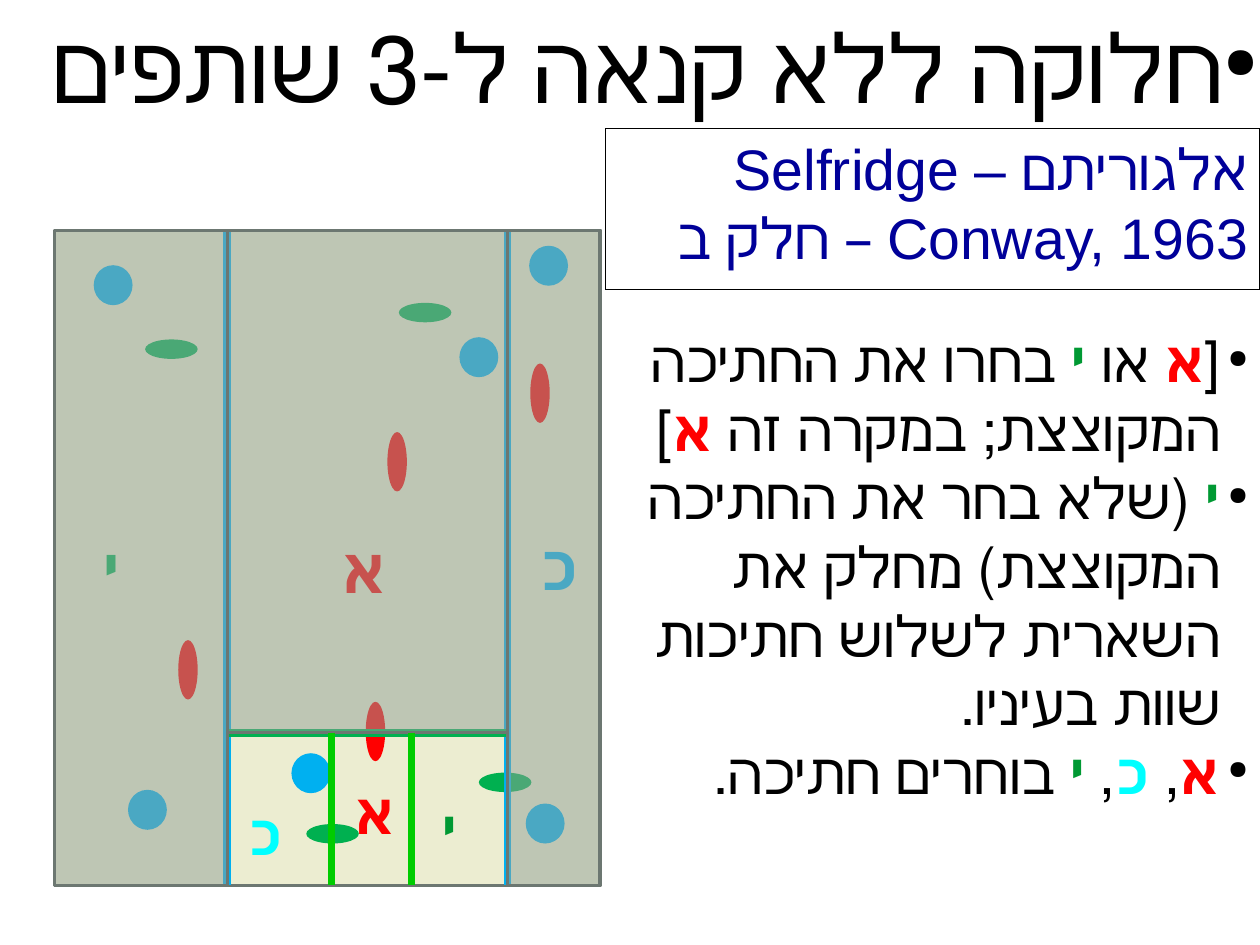
from dataclasses import dataclass

from lxml import etree
from pptx import Presentation
from pptx import util as u
from pptx.dml.color import RGBColor
from pptx.enum import shapes, text
from pptx.oxml import ns


@dataclass(frozen=True)
class Theme:
    font: str = "Arial"
    black: str = "000000"
    navy: str = "000099"
    red: str = "FF0000"
    sky: str = "00B0F0"
    cyan: str = "00FFFF"
    leaf: str = "00B050"
    green: str = "009933"
    lime: str = "00CC00"
    cake: str = "ECEDD1"
    veil: str = "93A299"
    edge: str = "6C7771"
    title_size: float = 60
    label_size: float = 40
    body_size: float = 36


@dataclass(frozen=True)
class Grid:
    width: int = u.Cm(28)
    height: int = u.Cm(21)
    columns: float = 110.24
    rows: float = 82.68

    def x(self, column: float) -> int:
        return u.Emu(round(self.width * column / self.columns))

    def y(self, row: float) -> int:
        return u.Emu(round(self.height * row / self.rows))


@dataclass(frozen=True)
class Area:
    column: float
    row: float
    columns: float
    rows: float


@dataclass(frozen=True)
class Topping:
    color: str
    columns: float
    rows: float
    places: tuple[tuple[float, float], ...]


@dataclass(frozen=True)
class Cut:
    start: tuple[float, float]
    end: tuple[float, float]
    color: str
    weight: float


@dataclass(frozen=True)
class Words:
    content: str
    color: str
    bold: bool = False


@dataclass(frozen=True)
class Label:
    area: Area
    words: Words


THEME = Theme()
GRID = Grid()
LEFT, FIRST, SECOND, RIGHT = 4.8, 19.9, 44.4, 52.5
TOP, TRIM, BOTTOM = 20.15, 64.1, 77.45

ALEF = Words("א", THEME.red, True)
YOD = Words("י", THEME.green, True)
KAF = Words("כ", THEME.cyan, True)

BLUEBERRIES = Topping(THEME.sky, 3.4, 3.5, (
    (40.2, 29.5), (46, 70.3), (46.3, 21.5), (8.2, 23.2), (25.5, 65.9), (11.2, 69.1)))
LEAVES = Topping(THEME.leaf, 4.6, 1.7, (
    (34.9, 26.5), (12.7, 29.7), (26.8, 72.1), (41.9, 67.6)))
CHERRIES = Topping(THEME.red, 1.7, 5.2, (
    (46.4, 31.8), (33.9, 37.8), (15.6, 56), (32, 61.4)))

PIECE_LABELS = (
    Label(Area(46.3, 46.2, 4.7, 7.2), Words("כ", THEME.sky, True)),
    Label(Area(28.9, 46.5, 5.5, 7.2), ALEF),
    Label(Area(8, 46.5, 3.4, 7.2), Words("י", THEME.leaf, True)))
TRIMMING_LABELS = (
    Label(Area(28, 67.5, 7.6, 6.8), ALEF),
    Label(Area(21, 69.4, 4.7, 6.8), KAF),
    Label(Area(37.7, 69, 3.3, 6.8), YOD))

TITLE = ((Words("חלוקה ללא קנאה ל-3 שותפים", THEME.black),),)
SUBTITLE = ((Words("אלגוריתם Selfridge – Conway, 1963 – חלק ב", THEME.navy),),)
STEPS = (
    (Words("[", THEME.black), ALEF, Words(" או ", THEME.black), YOD,
     Words(" בחרו את החתיכה המקוצצת; במקרה זה ", THEME.black), ALEF,
     Words("]", THEME.black)),
    (YOD, Words(" (שלא בחר את החתיכה המקוצצת) מחלק את השארית לשלוש חתיכות שוות בעיניו.",
                THEME.black)),
    (ALEF, Words(", ", THEME.black), KAF, Words(", ", THEME.black), YOD,
     Words(" בוחרים חתיכה.", THEME.black)))


def rgb(color: str) -> RGBColor:
    return RGBColor.from_string(color)


def place(area: Area) -> tuple[int, int, int, int]:
    return GRID.x(area.column), GRID.y(area.row), GRID.x(area.columns), GRID.y(area.rows)


def child(parent, tag: str, **attributes: str):
    return etree.SubElement(parent, ns.qn(tag), attributes)


def draw_shape(slide, kind, area: Area, fill: str, outlined: bool = False):
    shape = slide.shapes.add_shape(kind, *place(area))
    shape.shadow.inherit = False
    shape.fill.solid()
    shape.fill.fore_color.rgb = rgb(fill)
    if outlined:
        shape.line.color.rgb = rgb(THEME.edge)
        shape.line.width = u.Pt(2)
    else:
        shape.line.fill.background()
    return shape


def draw_veil(slide, area: Area) -> None:
    shape = draw_shape(slide, shapes.MSO_SHAPE.RECTANGLE, area, THEME.veil, True)
    color = shape._element.spPr.find(ns.qn("a:solidFill"))[0]
    child(color, "a:alpha", val="51000")


def draw_topping(slide, topping: Topping) -> None:
    for column, row in topping.places:
        area = Area(column, row, topping.columns, topping.rows)
        draw_shape(slide, shapes.MSO_SHAPE.OVAL, area, topping.color)


def draw_cut(slide, cut: Cut) -> None:
    (x1, y1), (x2, y2) = cut.start, cut.end
    connector = slide.shapes.add_connector(
        shapes.MSO_CONNECTOR.STRAIGHT, GRID.x(x1), GRID.y(y1), GRID.x(x2), GRID.y(y2))
    connector.line.color.rgb = rgb(cut.color)
    connector.line.width = u.Pt(cut.weight)
    child(connector._element.spPr, "a:effectLst")


def add_bullet(paragraph) -> None:
    properties = paragraph._p.get_or_add_pPr()
    indent = u.Inches(0.24)
    properties.set("marL", str(indent))
    properties.set("indent", str(-indent))
    child(child(properties, "a:buClr"), "a:srgbClr", val=THEME.black)
    child(properties, "a:buSzPct", val="45000")
    child(properties, "a:buChar", char="●")


def add_words(paragraph, words: Words, size: float) -> None:
    run = paragraph.add_run()
    run.text = words.content
    run.font.size = u.Pt(size)
    run.font.bold = words.bold
    run.font.color.rgb = rgb(words.color)
    run.font.name = THEME.font


def draw_text(slide, area: Area, paragraphs, size: float, bulleted: bool = False):
    box = slide.shapes.add_textbox(*place(area))
    box.text_frame.word_wrap = True
    for index, line in enumerate(paragraphs):
        paragraph = box.text_frame.add_paragraph() if index else box.text_frame.paragraphs[0]
        paragraph.alignment = text.PP_ALIGN.RIGHT
        paragraph._p.get_or_add_pPr().set("rtl", "1")
        if bulleted:
            add_bullet(paragraph)
        for words in line:
            add_words(paragraph, words, size)
    return box


def draw_piece_label(slide, label: Label) -> None:
    box = slide.shapes.add_textbox(*place(label.area))
    box.text_frame.word_wrap = False
    box.text_frame.auto_size = text.MSO_AUTO_SIZE.SHAPE_TO_FIT_TEXT
    paragraph = box.text_frame.paragraphs[0]
    paragraph.line_spacing = 0.93
    add_words(paragraph, label.words, THEME.label_size)


def main() -> None:
    presentation = Presentation()
    presentation.slide_width = GRID.width
    presentation.slide_height = GRID.height
    slide = presentation.slides.add_slide(presentation.slide_layouts[6])

    cake = Area(LEFT, TOP, RIGHT - LEFT, BOTTOM - TOP)
    draw_shape(slide, shapes.MSO_SHAPE.RECTANGLE, cake, THEME.cake, True)
    draw_topping(slide, BLUEBERRIES)
    draw_topping(slide, LEAVES)
    draw_cut(slide, Cut((SECOND, TOP), (SECOND, BOTTOM), THEME.sky, 5))
    draw_topping(slide, CHERRIES)
    for label in PIECE_LABELS:
        draw_piece_label(slide, label)
    draw_cut(slide, Cut((FIRST, TOP), (FIRST, BOTTOM), THEME.sky, 5))
    draw_cut(slide, Cut((SECOND, TRIM), (FIRST, TRIM), THEME.leaf, 5))

    draw_veil(slide, Area(LEFT, TOP, FIRST - LEFT, BOTTOM - TOP))
    title = draw_text(slide, Area(2, 0.5, 109, 10.5), TITLE, THEME.title_size, True)
    title.text_frame.vertical_anchor = text.MSO_ANCHOR.MIDDLE
    subtitle = draw_text(slide, Area(53, 11.2, 57.2, 14.1), SUBTITLE, THEME.body_size)
    subtitle.line.color.rgb = rgb(THEME.black)
    subtitle.line.width = u.Pt(0)
    draw_veil(slide, Area(FIRST, TOP, SECOND - FIRST, TRIM - TOP))
    draw_veil(slide, Area(SECOND, TOP, RIGHT - SECOND, BOTTOM - TOP))
    draw_text(slide, Area(53, 28, 57.2, 40.2), STEPS, THEME.body_size, True)

    for column in (29, 36):
        draw_cut(slide, Cut((column, TRIM), (column, BOTTOM), THEME.lime, 4.31))
    for label in TRIMMING_LABELS:
        draw_text(slide, label.area, ((label.words,),), THEME.body_size)
    presentation.save("out.pptx")


if __name__ == "__main__":
    main()
